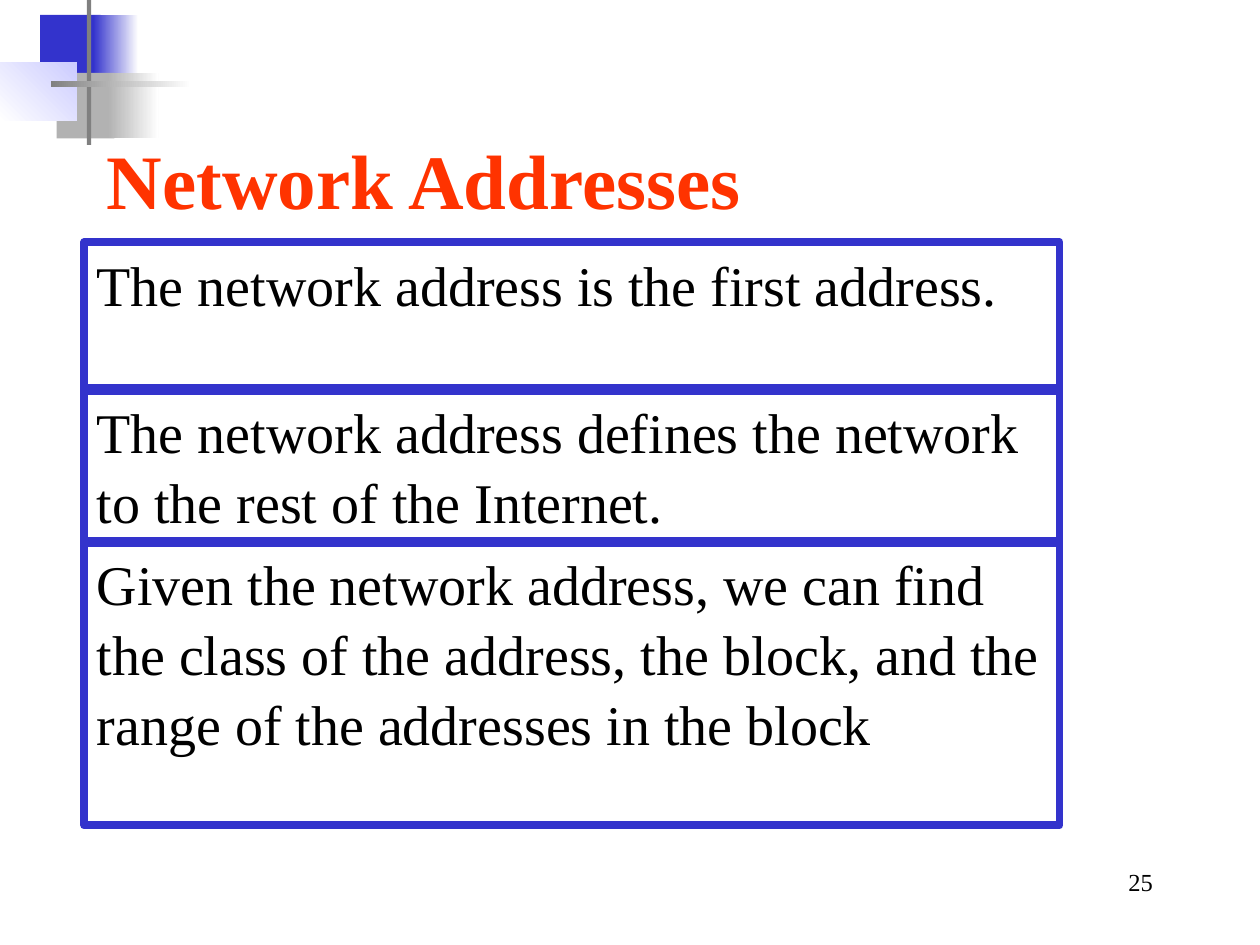
from pptx import Presentation
from pptx.dml.color import RGBColor
from pptx.enum.shapes import MSO_SHAPE
from pptx.enum.text import MSO_ANCHOR, PP_ALIGN
from pptx.util import Cm, Pt

RECT = MSO_SHAPE.RECTANGLE
TOP = MSO_ANCHOR.TOP
LEFT, RIGHT = PP_ALIGN.LEFT, PP_ALIGN.RIGHT

FONT = "Times New Roman"
COLORS = {
    "blue": "3333CC",
    "lavender": "CCCCFF",
    "silver": "B2B2B2",
    "gray": "808080",
    "white": "FFFFFF",
    "title": "FF3300",
    "text": "000000",
}

# Ornament parts: left, top, width, height, colours, gradient angle
ORNAMENT = [
    (0.81, 0.3, 1.22, 1.32, ["blue"], 0),
    (1.88, 0.3, 0.91, 1.32, ["blue", "white"], 0),
    (1.14, 1.47, 1.17, 1.32, ["silver"], 0),
    (2.18, 1.47, 1.02, 1.32, ["silver", "white"], 0),
    (0, 1.27, 1.55, 1.17, ["white", "lavender"], 45),
    (1.75, 0, 0.09, 2.92, ["gray"], 0),
    (1.02, 1.63, 2.84, 0.12, ["gray", "white"], 0),
]

# Statements: top within the stack, height, text
STATEMENTS = [
    (0, 3, "The network address is the first address."),
    (2.95, 3.12, "The network address defines the network to the rest of the Internet."),
    (6.02, 5.74, "Given the network address, we can find the class of the address, "
                 "the block, and the range of the addresses in the block"),
]


def color(name):
    return RGBColor.from_string(COLORS[name])


def add_rect(s, x, y, w, h):
    sp = s.shapes.add_shape(RECT, Cm(x), Cm(y), Cm(w), Cm(h))
    sp.shadow.inherit = False
    return sp


def write(sp, text, size, tint="text", bold=False, align=LEFT):
    tf = sp.text_frame
    tf.word_wrap = True
    tf.vertical_anchor = TOP
    tf.text = text
    p = tf.paragraphs[0]
    p.alignment = align
    font = p.runs[0].font
    font.name, font.size, font.bold = FONT, Pt(size), bold
    font.color.rgb = color(tint)
    return p


def add_label(s, x, y, w, h, text, size, **style):
    sp = s.shapes.add_textbox(Cm(x), Cm(y), Cm(w), Cm(h))
    write(sp, text, size, **style)


def add_ornament(s, x, y):
    for dx, dy, w, h, names, angle in ORNAMENT:
        sp = add_rect(s, x + dx, y + dy, w, h)
        sp.line.fill.background()
        if len(names) == 1:
            sp.fill.solid()
            sp.fill.fore_color.rgb = color(names[0])
            continue
        sp.fill.gradient()
        sp.fill.gradient_angle = angle
        for position, (stop, name) in enumerate(zip(sp.fill.gradient_stops, names)):
            stop.position = position
            stop.color.rgb = color(name)


def add_statements(s, x, y, w):
    for dy, h, text in STATEMENTS:
        sp = add_rect(s, x, y + dy, w, h)
        sp.fill.background()
        sp.line.color.rgb = color("blue")
        sp.line.width = Pt(4.5)
        p = write(sp, text, 32)
        p.line_spacing = 1.04


def main():
    prs = Presentation()
    prs.slide_width, prs.slide_height = Cm(25.4), Cm(19.05)
    s = prs.slides.add_slide(prs.slide_layouts[6])

    # Corner ornament
    add_ornament(s, 0, 0)
    # Page number and title
    add_label(s, 18.21, 17.35, 5.28, 1.27, "25", 14, align=RIGHT)
    add_label(s, 1.9, 2.54, 17.68, 2.11, "Network Addresses", 44, tint="title", bold=True)
    # Stacked statements
    add_statements(s, 1.7, 4.88, 19.66)

    prs.save("out.pptx")


if __name__ == "__main__":
    main()
